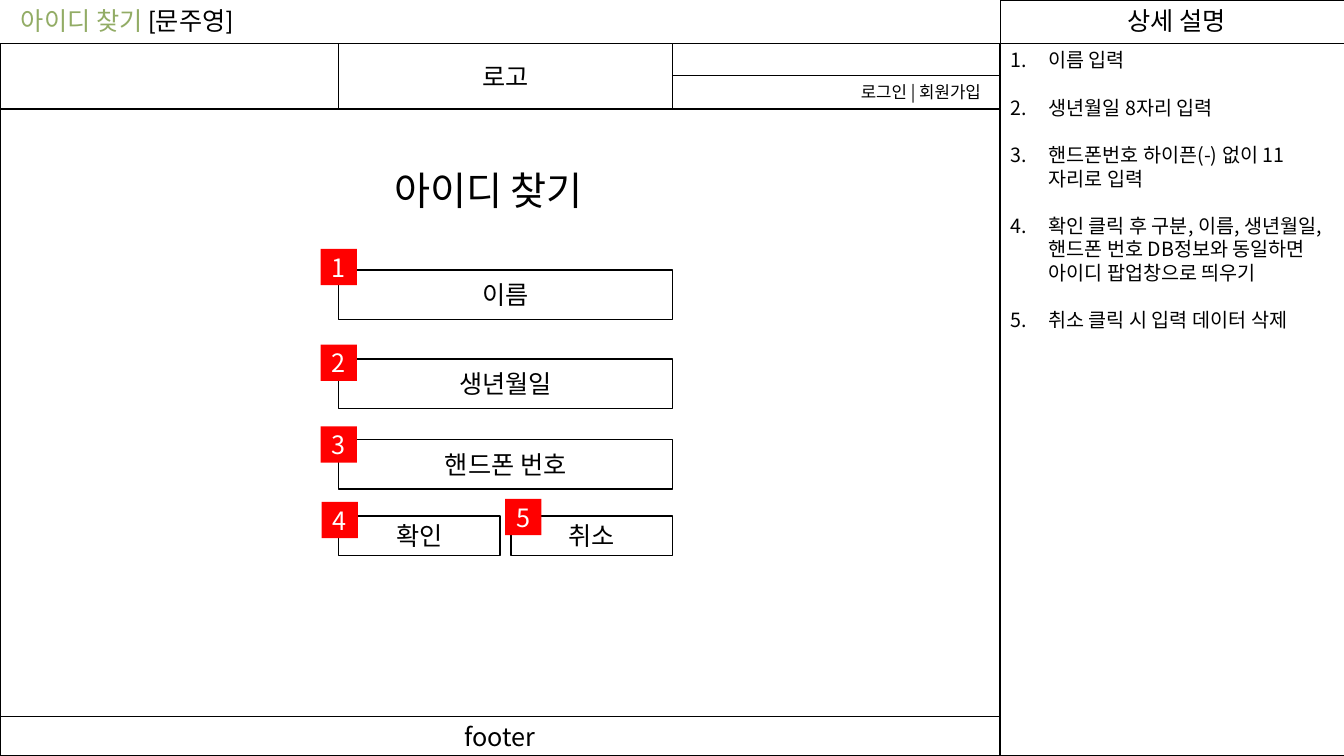
from dataclasses import dataclass

from lxml.etree import SubElement
from pptx import Presentation
from pptx.dml.color import RGBColor
from pptx.enum.shapes import MSO_SHAPE
from pptx.enum.text import MSO_ANCHOR, PP_ALIGN
from pptx.oxml.ns import qn
from pptx.util import Inches, Pt

HUES = {"ink": "000000", "paper": "FFFFFF", "badge": "FF0000", "green": "92AC65"}
FONT = "Noto Sans CJK KR"


@dataclass
class Run:
    text: str
    size: float = 18
    hue: str = "ink"
    font: str = FONT


@dataclass
class Box:
    left: float
    top: float
    width: float
    height: float
    text: str = ""
    size: float = 18
    fill: str = "paper"
    hue: str = "ink"
    line: bool = True
    align: PP_ALIGN = PP_ALIGN.CENTER
    inset: float = 0.1


@dataclass
class Label:
    left: float
    top: float
    width: float
    height: float
    runs: list[Run]
    wrap: bool = False


def color(name: str) -> RGBColor:
    return RGBColor.from_string(HUES[name])


def add_run(para, item: Run) -> None:
    run = para.add_run()
    run.text = item.text
    run.font.size = Pt(item.size)
    run.font.name = item.font
    run.font.color.rgb = color(item.hue)
    SubElement(run.font._element, qn("a:ea")).set("typeface", FONT)


def add_box(slide, box: Box) -> None:
    shape = slide.shapes.add_shape(
        MSO_SHAPE.RECTANGLE, Inches(box.left), Inches(box.top),
        Inches(box.width), Inches(box.height))
    shape.shadow.inherit = False
    shape.fill.solid()
    shape.fill.fore_color.rgb = color(box.fill)
    if box.line:
        shape.line.color.rgb = color("ink")
        shape.line.width = Pt(1)
    else:
        shape.line.fill.background()
    if box.text:
        frame = shape.text_frame
        frame.vertical_anchor = MSO_ANCHOR.MIDDLE
        frame.margin_right = Inches(box.inset)
        para = frame.paragraphs[0]
        para.alignment = box.align
        add_run(para, Run(box.text, box.size, box.hue))


def add_label(slide, label: Label):
    shape = slide.shapes.add_textbox(
        Inches(label.left), Inches(label.top),
        Inches(label.width), Inches(label.height))
    frame = shape.text_frame
    frame.word_wrap = label.wrap
    for run in label.runs:
        add_run(frame.paragraphs[0], run)
    return frame


def add_notes(slide, notes: list[str]) -> None:
    frame = add_label(slide, Label(SIDE, HEAD, 3.41, 3.4, [], True))
    for i, note in enumerate(notes):
        para = frame.add_paragraph() if i else frame.paragraphs[0]
        props = para._p.get_or_add_pPr()
        props.set("marL", str(Inches(0.38)))
        props.set("indent", str(-Inches(0.38)))
        SubElement(props, qn("a:buFont")).set("typeface", "+mj-lt")
        SubElement(props, qn("a:buAutoNum")).set("type", "arabicPeriod")
        if i:
            para.space_before = Pt(17)
        add_run(para, Run(note, 14))


# Page grid
SIDE, HEAD, BODY, FOOT = 9.92, 0.43, 1.08, 7.11
FORM, WIDE, HALF = 3.36, 3.31, 1.6
END = FORM + WIDE

FRAMES = [
    Box(SIDE, HEAD, 3.42, 7.5 - HEAD),
    Box(SIDE, 0, 3.42, HEAD),
    Box(0, HEAD, SIDE, BODY - HEAD),
    Box(FORM, HEAD, WIDE, BODY - HEAD, "로고"),
    Box(END, 0.75, SIDE - END, 0.33, "로그인 | 회원가입", 12,
        align=PP_ALIGN.RIGHT, inset=0.19),
    Box(0, FOOT, SIDE, 7.5 - FOOT, "footer"),
    Box(0, BODY, SIDE, FOOT - BODY),
]
FIELDS = [Box(FORM, top, WIDE, 0.49, text) for top, text in
          [(2.68, "이름"), (3.56, "생년월일"), (4.36, "핸드폰 번호")]]
BUTTONS = [Box(left, 5.12, HALF, 0.39, text) for left, text in
           [(FORM, "확인"), (END - HALF, "취소")]]
SPOTS = [(3.18, 2.47), (3.18, 3.42), (3.18, 4.23), (3.19, 4.98), (5.01, 4.95)]
BADGES = [Box(left, top, 0.36, 0.36, str(n), fill="badge", hue="paper", line=False)
          for n, (left, top) in enumerate(SPOTS, 1)]
LABELS = [
    Label(11.08, 0, 1.3, 0.4, [Run("상세 설명")]),
    Label(3.81, 1.6, 2.3, 0.57, [Run("아이디 찾기", 28)]),
    Label(0.11, 0, 2.31, 0.4,
          [Run("아이디 찾기 ", hue="green"), Run("[문주영]", font="Lato")], True),
]
NOTES = [
    "이름 입력",
    "생년월일 8자리 입력",
    "핸드폰번호 하이픈(-) 없이 11자리로 입력",
    "확인 클릭 후 구분, 이름, 생년월일, 핸드폰 번호 DB정보와 동일하면 아이디 팝업창으로 띄우기",
    "취소 클릭 시 입력 데이터 삭제",
]


def main() -> None:
    deck = Presentation()
    deck.slide_width, deck.slide_height = Inches(13.33), Inches(7.5)
    slide = deck.slides.add_slide(deck.slide_layouts[6])
    # Wireframe, form and number badges
    for box in FRAMES + FIELDS + BUTTONS + BADGES:
        add_box(slide, box)
    # Headings and side notes
    for label in LABELS:
        add_label(slide, label)
    add_notes(slide, NOTES)
    deck.save("out.pptx")


if __name__ == "__main__":
    main()
